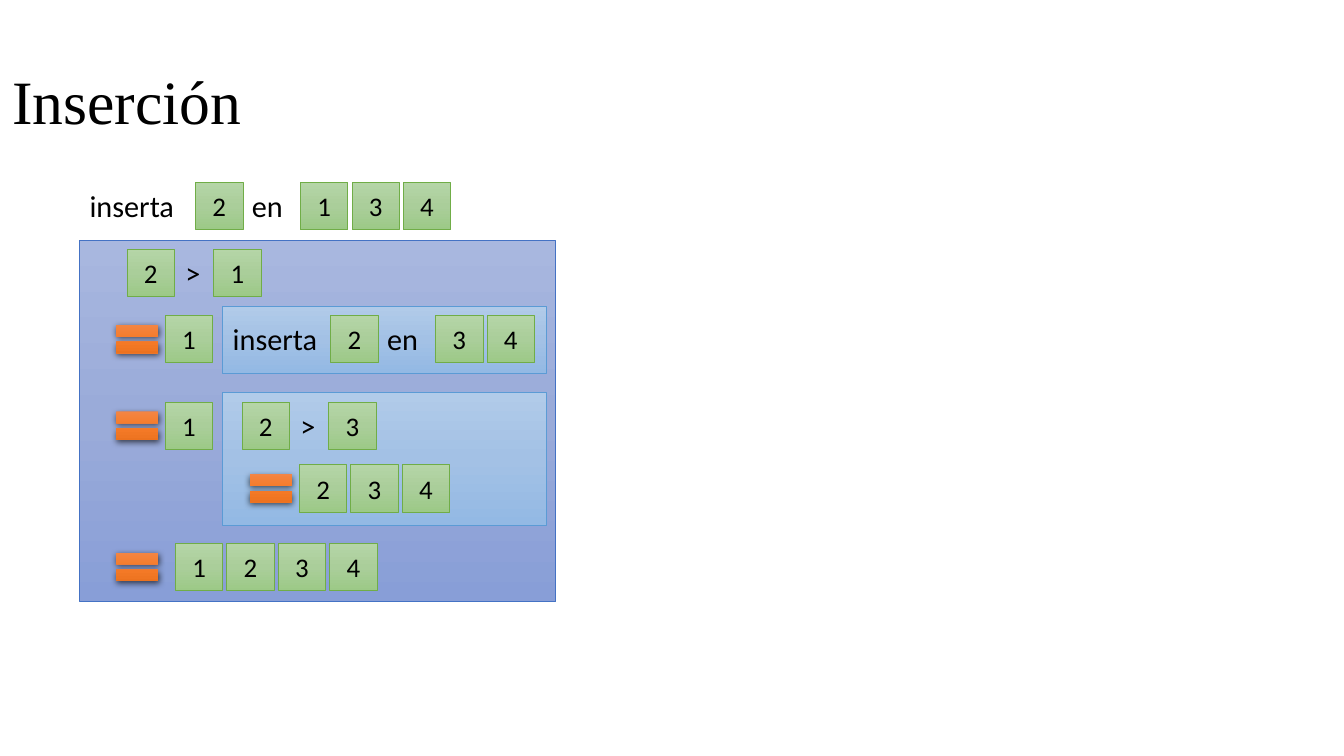
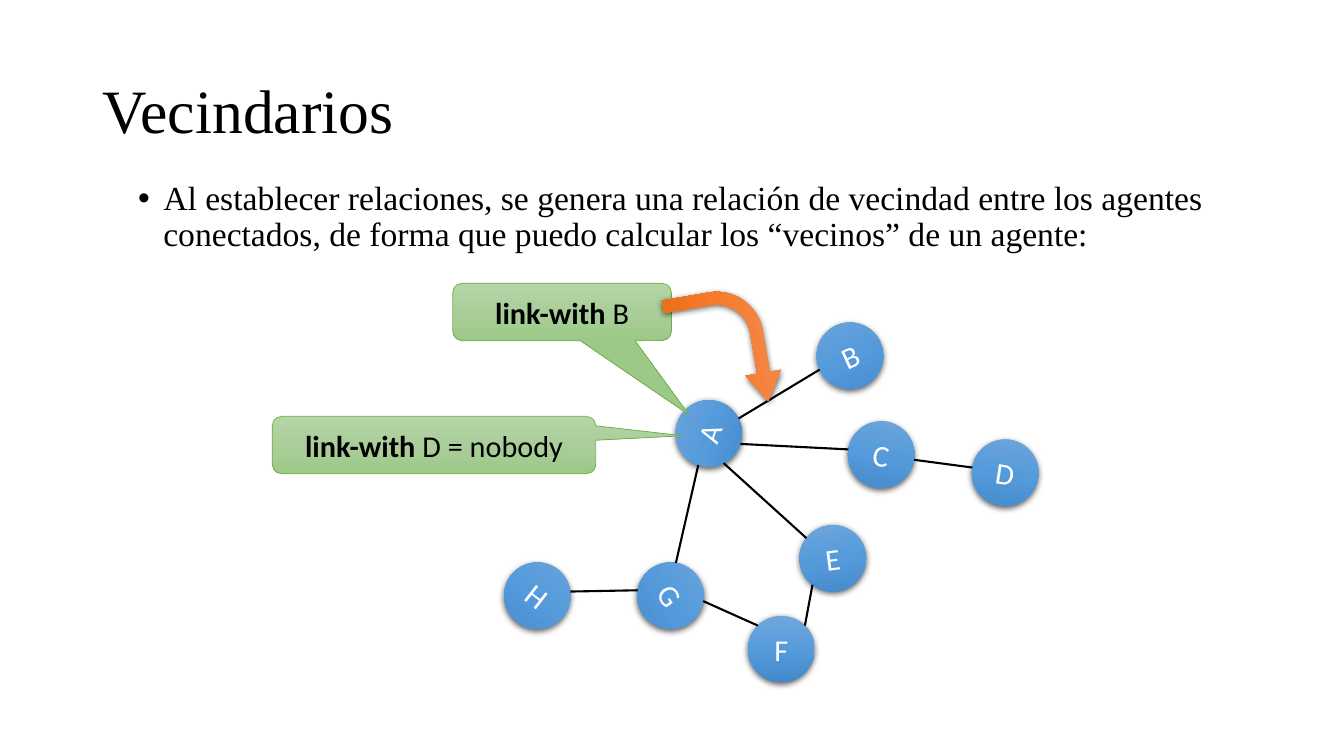
from collections import namedtuple
from copy import deepcopy
from math import cos, radians, sin

from pptx import Presentation
from pptx.dml.color import RGBColor
from pptx.enum.shapes import MSO_CONNECTOR as Connector, MSO_SHAPE as Shape
from pptx.enum.text import MSO_ANCHOR as Anchor, MSO_AUTO_SIZE as AutoSize, PP_ALIGN as Align
from pptx.oxml.ns import qn
from pptx.oxml.xmlchemy import OxmlElement
from pptx.util import Emu, Pt

EMU_PER_PX = 9144  # 100 px to the inch
Box = namedtuple("Box", "left top width height")
Node = namedtuple("Node", "x y turn")

GREEN = ("B5D5A7", "AACE9A", "9CC987")
INDIGO = ("A8B7DF", "9AABD9", "889ED7")
SKY = ("B1CBE9", "A3C1E5", "93B9E4")
ORANGE = ("F18C57", "F67B28", "E56C19")
BLUE = ("71A6DB", "559BDB", "448ACA")
GREEN_EDGE, INDIGO_EDGE, SKY_EDGE = "70AD47", "4472C4", "5B9BD5"
BLACK, WHITE = "000000", "FFFFFF"

SERIF, SANS = "Times New Roman", "Calibri"
TITLE_FONT = {"name": SERIF, "size": Pt(44)}
BODY_FONT = {"name": SERIF, "size": Pt(24)}
LABEL_FONT = {"name": SANS, "size": Pt(21.6)}
CELL_FONT = {"name": SANS, "size": Pt(19.2)}

CELL, PITCH = 47, 51
NODE_SIZE = 66


def px(length):
    return Emu(round(length * EMU_PER_PX))


def color(value):
    return RGBColor.from_string(value)


def place(shape, box):
    for name, length in box._asdict().items():
        setattr(shape, name, px(length))


def add_span(para, text, font, ink=BLACK, bold=False):
    span = para.add_run()
    span.text = text
    for name, value in {**font, "bold": bold}.items():
        setattr(span.font, name, value)
    span.font.color.rgb = color(ink)


def add_shadow(shape):
    effects = shape._element.spPr.find(qn("a:effectLst"))
    shadow = OxmlElement("a:outerShdw")
    settings = {"blurRad": 57150, "dist": 19050, "dir": 5400000, "algn": "ctr", "rotWithShape": 0}
    for name, value in settings.items():
        shadow.set(name, str(value))
    tint = OxmlElement("a:srgbClr")
    tint.set("val", BLACK)
    alpha = OxmlElement("a:alpha")
    alpha.set("val", "63000")
    tint.append(alpha)
    shadow.append(tint)
    effects.append(shadow)


def add_figure(slide, kind, box, shades, edge=None, turn=0):
    """Add a shape with a vertical gradient and an edge, or a shadow if it has no edge."""
    shape = slide.shapes.add_shape(kind, *map(px, box))
    shape.rotation = turn
    shape.shadow.inherit = False
    shape.fill.gradient()
    shape.fill.gradient_angle = 270
    stop_list = shape._element.spPr.find(".//" + qn("a:gsLst"))
    stop_list.append(deepcopy(stop_list[-1]))
    for stop, shade, position in zip(shape.fill.gradient_stops, shades, (0, 0.5, 1)):
        stop.color.rgb = color(shade)
        stop.position = position
    if edge:
        shape.line.color.rgb = color(edge)
        shape.line.width = Pt(0.5)
    else:
        shape.line.fill.background()
        add_shadow(shape)
    return shape


def centered_para(shape):
    shape.text_frame.vertical_anchor = Anchor.MIDDLE
    para = shape.text_frame.paragraphs[0]
    para.alignment = Align.CENTER
    return para


def add_label(slide, text, box):
    frame = slide.shapes.add_textbox(*map(px, box)).text_frame
    frame.word_wrap = False
    add_span(frame.paragraphs[0], text, LABEL_FONT)


def fill_placeholder(holder, box, text, font, anchor):
    place(holder, box)
    frame = holder.text_frame
    frame.auto_size = AutoSize.NONE
    frame.vertical_anchor = anchor
    para = frame.paragraphs[0]
    for name, value in {"alignment": Align.LEFT, "line_spacing": 0.9, "space_before": Pt(0)}.items():
        setattr(para, name, value)
    add_span(para, text, font)
    return para


def add_titled_slide(deck, layout, title, box):
    slide = deck.slides.add_slide(deck.slide_layouts[layout])
    fill_placeholder(slide.shapes.title, box, title, TITLE_FONT, Anchor.MIDDLE)
    return slide


def add_bullet(holder, box, text):
    para = fill_placeholder(holder, box, text, BODY_FONT, Anchor.TOP)
    properties = para._p.get_or_add_pPr()
    properties.set("marL", str(px(25)))
    properties.set("indent", str(px(-25)))
    typeface = OxmlElement("a:buFont")
    typeface.set("typeface", "Arial")
    bullet = OxmlElement("a:buChar")
    bullet.set("char", "•")
    properties.extend((typeface, bullet))


def add_cells(slide, left, top, values):
    for index, value in enumerate(values):
        box = Box(left + index * PITCH, top, CELL, CELL)
        cell = add_figure(slide, Shape.RECTANGLE, box, GREEN, GREEN_EDGE)
        add_span(centered_para(cell), value, CELL_FONT)


def add_equals(slide, left, top):
    add_figure(slide, Shape.MATH_EQUAL, Box(left, top, 57, CELL), ORANGE)


def add_insertion(slide, left, top, value, values, gap=0):
    """Write "inserta value en values", with a gap after the first word."""
    add_label(slide, "inserta", Box(left, top, 105, 46))
    cell_left = left + 107 + gap
    add_cells(slide, cell_left, top, value)
    add_label(slide, "en", Box(cell_left + 46, top, 51, 46))
    add_cells(slide, cell_left + 104, top, values)


def add_comparison(slide, left, top, first, second):
    add_cells(slide, left, top, first)
    add_label(slide, ">", Box(left + 48, top, 35, 46))
    add_cells(slide, left + 86, top, second)


def add_inner_panel(slide, box):
    add_figure(slide, Shape.RECTANGLE, box, SKY, SKY_EDGE)


def add_inner_comparison(slide, box):
    add_inner_panel(slide, box)
    add_comparison(slide, box.left + 19, box.top + 10, "2", "3")
    add_equals(slide, box.left + 19, box.top + 72)
    add_cells(slide, box.left + 76, box.top + 72, "234")


def add_derivation(slide, box):
    """Draw the steps of the insertion inside the box."""
    add_figure(slide, Shape.RECTANGLE, box, INDIGO, INDIGO_EDGE)
    add_comparison(slide, box.left + 47, box.top + 9, "2", "1")

    call_box = Box(box.left + 142, box.top + 66, 321, 66)
    add_inner_panel(slide, call_box)
    add_insertion(slide, call_box.left, call_box.top + 9, "2", "34")
    add_inner_comparison(slide, Box(call_box.left, box.top + 151, 321, 132))

    for top, cells_left, values in ((75, 85, "1"), (161, 85, "1"), (301, 95, "1234")):
        add_equals(slide, box.left + 29, box.top + top)
        add_cells(slide, box.left + cells_left, box.top + top, values)


def rim_point(node, site):
    """Find one of eight points on the rim, counted anticlockwise from the node's top."""
    angle = radians(node.turn - 45 * site)
    radius = NODE_SIZE / 2
    return px(node.x + radius * sin(angle)), px(node.y - radius * cos(angle))


def add_link(slide, start, end):
    link = slide.shapes.add_connector(Connector.STRAIGHT, *start, *end)
    link.line.color.rgb = color(BLACK)
    link.line.width = Pt(1.5)
    link._element.spPr.append(OxmlElement("a:effectLst"))


def add_network(slide, box):
    """Draw the agents and their links; node centres are relative to the box."""
    centers = {
        "A": (203, 110, 288.4), "B": (343, 33, 335.5), "C": (374, 131, 9), "D": (497, 149, 9),
        "E": (326, 234, 352.6), "F": (275, 324, 0), "G": (165, 271, 54.4), "H": (33, 271, 37.8),
    }
    nodes = {name: Node(box.left + x, box.top + y, turn) for name, (x, y, turn) in centers.items()}
    links = ("A4 C2", "A5 B2", "A3 E1", "A2 G1", "F1 G7", "G3 H7", "F7 E3", "C6 D2")
    for name, node in nodes.items():
        corner = Box(node.x - NODE_SIZE // 2, node.y - NODE_SIZE // 2, NODE_SIZE, NODE_SIZE)
        circle = add_figure(slide, Shape.OVAL, corner, BLUE, turn=node.turn)
        add_span(centered_para(circle), name, LABEL_FONT, WHITE)
    for link in links:
        add_link(slide, *(rim_point(nodes[name], int(site)) for name, site in link.split()))


def set_adjustments(shape, values):
    for index, value in enumerate(values):
        shape.adjustments[index] = value


def add_callout(slide, box, tail, answer):
    callout = add_figure(slide, Shape.ROUNDED_RECTANGULAR_CALLOUT, box, GREEN, GREEN_EDGE)
    set_adjustments(callout, (*tail, 0.17))
    para = centered_para(callout)
    add_span(para, "link-with", LABEL_FONT, bold=True)
    add_span(para, " " + answer, LABEL_FONT)


def build_insertion_slide(deck):
    slide = add_titled_slide(deck, 5, "Inserción", Box(2, 64, 1080, 80))
    add_insertion(slide, 79, 181, "2", "134", gap=8)
    add_derivation(slide, Box(79, 238, 472, 359))


def build_neighbours_slide(deck):
    slide = add_titled_slide(deck, 1, "Vecindarios", Box(92, 40, 1150, 145))
    add_bullet(
        slide.placeholders[1], Box(127, 175, 1080, 115),
        "Al establecer relaciones, se genera una relación de vecindad entre los agentes "
        "conectados, de forma que puedo calcular los “vecinos” de un agente:",
    )
    add_network(slide, Box(500, 320, 530, 357))
    add_callout(slide, Box(449, 281, 217, 57), (0.58, 1.79), "B")
    arrow = add_figure(slide, Shape.BENT_ARROW, Box(660, 294, 116, 105), ORANGE, turn=80.3)
    set_adjustments(arrow, (0.12, 0.17, 0.27, 0.44))
    add_callout(slide, Box(270, 413, 321, 57), (0.77, -0.16), "D = nobody")


def main():
    deck = Presentation()
    deck.slide_width, deck.slide_height = px(1333), px(750)
    build_insertion_slide(deck)
    build_neighbours_slide(deck)
    deck.save("out.pptx")


if __name__ == "__main__":
    main()
